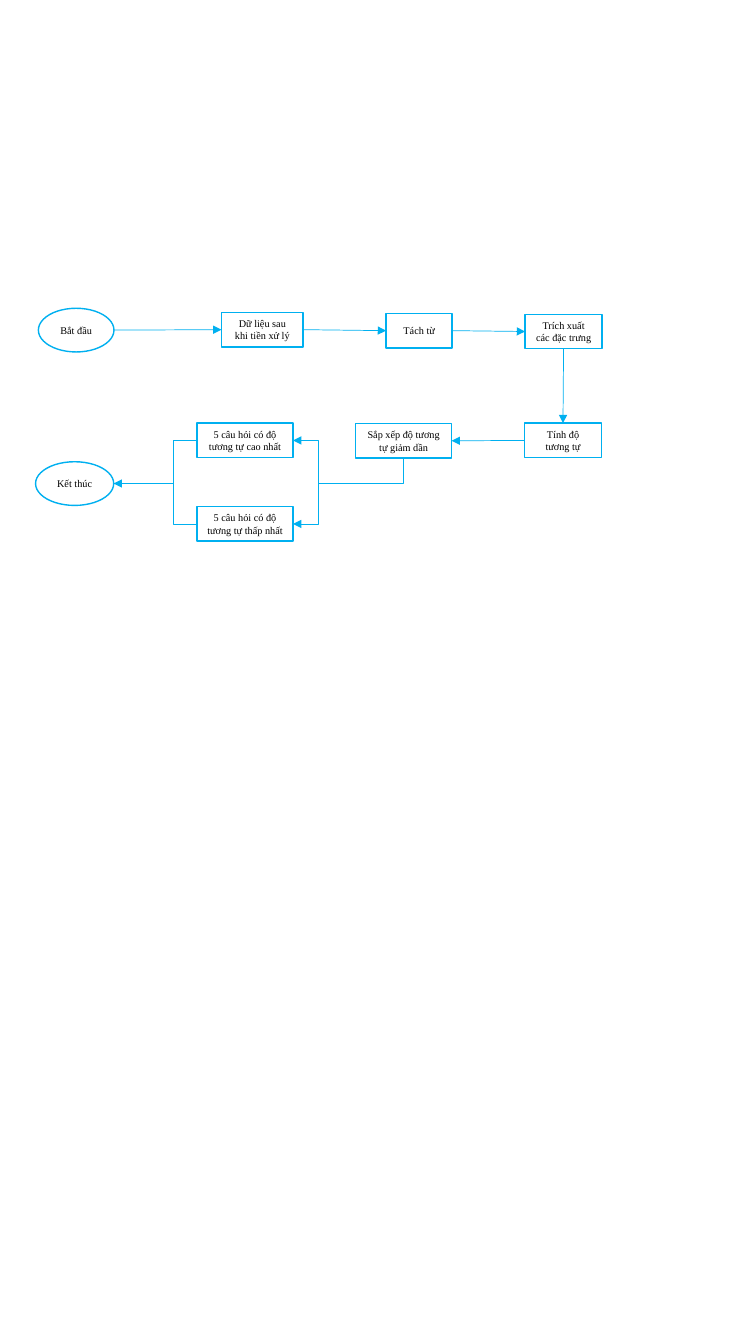
from lxml.etree import SubElement
from pptx import Presentation
from pptx.dml.color import RGBColor
from pptx.enum.shapes import MSO_CONNECTOR, MSO_SHAPE
from pptx.enum.text import MSO_ANCHOR, PP_ALIGN
from pptx.oxml.ns import qn
from pptx.util import Pt

COLORS = {"line": "00B0F0", "fill": "FFFFFF", "text": "000000"}
FONT = {"name": "Times New Roman", "size": Pt(7.3)}
TOP, LEFT, BOTTOM, RIGHT = range(4)
RECT, OVAL = MSO_SHAPE.RECTANGLE, MSO_SHAPE.FLOWCHART_CONNECTOR
BOX_HEIGHT, OVAL_HEIGHT = 24.6, 31.2
FORK_X, MERGE_X, MIDDLE_Y = 227.5, 123.8, 345.4

# name: (shape, left, top, width, text)
STEPS = {
    "start": (OVAL, 27.4, 220.2, 54, "Bắt đầu"),
    "data": (RECT, 158.2, 223.2, 58.4, "Dữ liệu sau khi tiền xử lý"),
    "split": (RECT, 275.8, 223.9, 47.2, "Tách từ"),
    "features": (RECT, 375.1, 224.5, 54.9, "Trích xuất các đặc trưng"),
    "similarity": (RECT, 374.7, 302.3, 54.9, "Tính độ tương tự"),
    "sort": (RECT, 254, 302.6, 68.6, "Sắp xếp độ tương tự giảm dần"),
    "highest": (RECT, 140.7, 302.3, 68.6, "5 câu hỏi có độ tương tự cao nhất"),
    "lowest": (RECT, 140.7, 362, 68.6, "5 câu hỏi có độ tương tự thấp nhất"),
    "end": (OVAL, 25.4, 329.8, 55.8, "Kết thúc"),
}
ARROWS = [
    ("data", RIGHT, "split", LEFT),
    ("split", RIGHT, "features", LEFT),
    ("features", BOTTOM, "similarity", TOP),
    ("similarity", LEFT, "sort", RIGHT),
]


def rgb(name):
    return RGBColor.from_string(COLORS[name])


def add_step(slide, kind, left, top, width, text):
    height = OVAL_HEIGHT if kind == OVAL else BOX_HEIGHT
    box = slide.shapes.add_shape(kind, Pt(left), Pt(top), Pt(width), Pt(height))
    box.shadow.inherit = False
    box.fill.solid()
    box.fill.fore_color.rgb = rgb("fill")
    box.line.color.rgb = rgb("line")
    box.line.width = Pt(1)
    frame = box.text_frame
    frame.word_wrap = True
    frame.vertical_anchor = MSO_ANCHOR.MIDDLE
    para = frame.paragraphs[0]
    para.alignment = PP_ALIGN.CENTER
    span = para.add_run()
    span.text = text
    for key, value in FONT.items():
        setattr(span.font, key, value)
    span.font.color.rgb = rgb("text")
    return box


def style_line(shape, arrowheads):
    """Set the thin line and add a triangle for each of headEnd and tailEnd listed."""
    shape.line.color.rgb = rgb("line")
    shape.line.width = Pt(0.5)
    outline = shape.element.spPr.find(qn("a:ln"))
    for tag in arrowheads:
        SubElement(outline, qn(f"a:{tag}"), type="triangle")


def add_arrow(slide, start, end):
    arrow = slide.shapes.add_connector(MSO_CONNECTOR.STRAIGHT, *start, *end)
    style_line(arrow, ["tailEnd"])
    SubElement(arrow.element.spPr, qn("a:effectLst"))
    return arrow


def add_bent_line(slide, points, arrowheads=()):
    builder = slide.shapes.build_freeform(*points[0])
    builder.add_line_segments(points[1:], close=False)
    bent = builder.convert_to_shape()
    bent.shadow.inherit = False
    bent.fill.background()
    style_line(bent, arrowheads)


def side_middle(box, side):
    x = {LEFT: box.left, RIGHT: box.left + box.width}.get(side, box.left + box.width // 2)
    y = {TOP: box.top, BOTTOM: box.top + box.height}.get(side, box.top + box.height // 2)
    return x, y


def add_bracket(slide, boxes, side, x, arrowheads=()):
    """Join the same side of two boxes by a line that runs down at x."""
    upper, lower = (side_middle(box, side) for box in boxes)
    add_bent_line(slide, [upper, (x, upper[1]), (x, lower[1]), lower], arrowheads)


def main():
    deck = Presentation()
    deck.slide_width, deck.slide_height = Pt(540), Pt(960)
    slide = deck.slides.add_slide(deck.slide_layouts[6])
    boxes = {name: add_step(slide, *step) for name, step in STEPS.items()}

    for source, source_side, target, target_side in ARROWS:
        first, second = boxes[source], boxes[target]
        arrow = add_arrow(slide, side_middle(first, source_side), side_middle(second, target_side))
        arrow.begin_connect(first, source_side)
        arrow.end_connect(second, target_side)

    entry = add_arrow(slide, side_middle(boxes["start"], RIGHT), side_middle(boxes["data"], LEFT))
    entry.end_connect(boxes["data"], LEFT)
    middle = Pt(MIDDLE_Y)
    add_arrow(slide, (Pt(MERGE_X), middle), side_middle(boxes["end"], RIGHT))

    results = boxes["highest"], boxes["lowest"]
    add_bracket(slide, results, RIGHT, Pt(FORK_X), ["headEnd", "tailEnd"])
    add_bracket(slide, results, LEFT, Pt(MERGE_X))
    sort_x, sort_y = side_middle(boxes["sort"], BOTTOM)
    add_bent_line(slide, [(Pt(FORK_X), middle), (sort_x, middle), (sort_x, sort_y)])

    deck.save("out.pptx")


if __name__ == "__main__":
    main()
